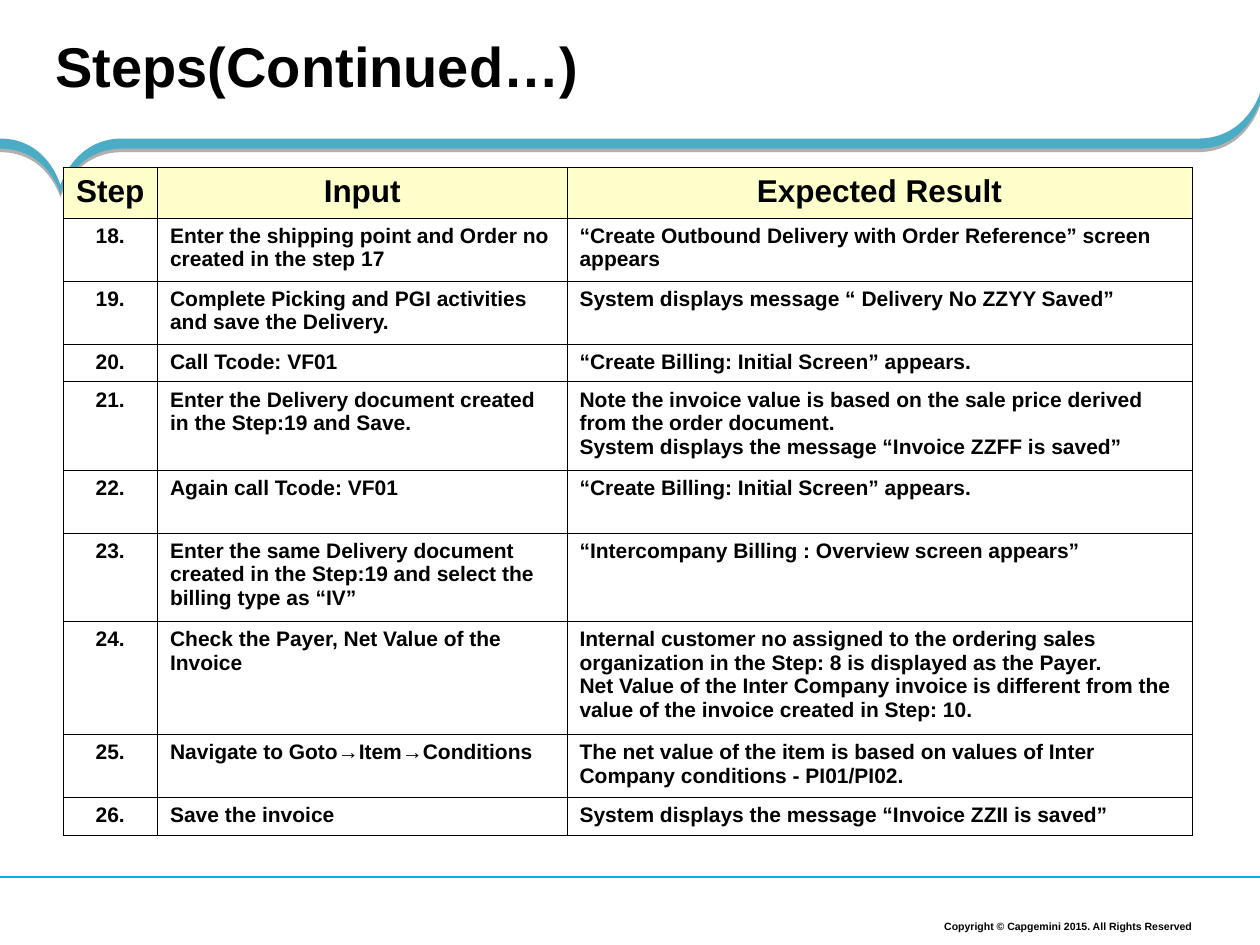
"""Build a slide with a table of numbered test steps under a wave band."""
from lxml import etree
from pptx import Presentation
from pptx.dml.color import RGBColor
from pptx.enum.shapes import MSO_CONNECTOR
from pptx.enum.text import MSO_ANCHOR, MSO_AUTO_SIZE, PP_ALIGN
from pptx.oxml import parse_xml
from pptx.oxml.ns import qn
from pptx.util import Inches, Pt

LEFT, MID, RIGHT = PP_ALIGN.LEFT, PP_ALIGN.CENTER, PP_ALIGN.RIGHT
TOP, BOTTOM = MSO_ANCHOR.TOP, MSO_ANCHOR.BOTTOM
NO_FIT = MSO_AUTO_SIZE.NONE
STRAIGHT = MSO_CONNECTOR.STRAIGHT
NS = 'xmlns:a="http://schemas.openxmlformats.org/drawingml/2006/main"'

TITLE = "Steps(Continued…)"
FOOTER = "Copyright © Capgemini 2015. All Rights Reserved"
HEADS = ["Step", "Input", "Expected Result"]
FIRST = 18
STEPS = [
    (0.5, "Enter the shipping point and Order no created in the step 17",
     ["“Create Outbound Delivery with Order Reference” screen appears"]),
    (0.5, "Complete Picking and PGI activities and save the Delivery.",
     ["System displays message “ Delivery No ZZYY Saved”"]),
    (0.3, "Call Tcode: VF01", ["“Create Billing: Initial Screen” appears."]),
    (0.7, "Enter the Delivery document created in the Step:19 and Save.",
     ["Note the invoice value is based on the sale price derived from the order document.",
      "System displays the message “Invoice ZZFF is saved”"]),
    (0.5, "Again call Tcode: VF01", ["“Create Billing: Initial Screen” appears."]),
    (0.7, "Enter the same Delivery document created in the Step:19 and select "
     "the billing type as “IV”",
     ["“Intercompany Billing : Overview screen appears”"]),
    (0.9, "Check the Payer, Net Value of the Invoice",
     ["Internal customer no assigned to the ordering sales organization in the "
      "Step: 8 is displayed as the Payer.",
      "Net Value of the Inter Company invoice is different from the value of the "
      "invoice created in Step: 10."]),
    (0.5, "Navigate to Goto→Item→Conditions",
     ["The net value of the item is based on values of Inter Company conditions - PI01/PI02."]),
    (0.3, "Save the invoice", ["System displays the message “Invoice ZZII is saved”"]),
]
COLS = [0.75, 3.25, 4.96]
HEAD_H = 0.4

WAVE_TOP = 74
WAVE_START = (951, 110)
WAVE = [
    [(97, 110)],
    [(59, 110), (48, 147), (48, 147)],
    [(48, 147), (38, 110), (0, 110)],
    [(0, 118)],
    [(38, 118), (48, 154), (48, 154)],
    [(48, 154), (59, 118), (97, 118)],
    [(951, 118)],
    [(989, 118), (1000, 81), (1000, 81)],
    [(1000, 74)],
    [(1000, 74), (989, 110), WAVE_START],
]


def paint(target, color):
    target.solid()
    target.fore_color.rgb = RGBColor.from_string(color)


def write(frame, lines, size, align=LEFT):
    for i, line in enumerate(lines):
        para = frame.paragraphs[0] if i == 0 else frame.add_paragraph()
        para.alignment = align
        run = para.add_run()
        run.text = line
        run.font.name = "Arial"
        run.font.size = Pt(size)
        run.font.bold = True
        paint(run.font.fill, "000000")


def set_box(shape, inset, anchor):
    frame = shape.text_frame
    frame.word_wrap = True
    frame.auto_size = NO_FIT
    frame.vertical_anchor = anchor
    frame.margin_left = frame.margin_right = Inches(inset)
    frame.margin_top = frame.margin_bottom = Inches(inset)
    return frame


def add_wave(slide):
    pen = slide.shapes.build_freeform(*WAVE_START, scale=Inches(0.01))
    pen.add_line_segments([step[-1] for step in WAVE], close=True)
    wave = pen.convert_to_shape()
    paint(wave.fill, "4BACC6")
    wave.line.fill.background()
    props = wave.element.spPr
    for line, step in zip(list(props.iter(qn("a:lnTo"))), WAVE):
        if len(step) == 3:
            curve = etree.Element(qn("a:cubicBezTo"))
            for x, y in step:
                etree.SubElement(curve, qn("a:pt"), x=str(x), y=str(y - WAVE_TOP))
            line.getparent().replace(line, curve)
    props.append(parse_xml(
        f'<a:effectLst {NS}><a:outerShdw blurRad="0" dist="{Pt(2)}" dir="5400000" '
        'algn="t" rotWithShape="0"><a:srgbClr val="000000"><a:alpha val="31000"/>'
        '</a:srgbClr></a:outerShdw></a:effectLst>'))


def add_rule(slide):
    y = Inches(6.96)
    rule = slide.shapes.add_connector(STRAIGHT, Inches(10), y, 0, y)
    paint(rule.line.fill, "00B0F0")
    rule.line.width = Pt(0.75)
    etree.SubElement(rule.element.spPr, qn("a:effectLst"))


def set_edges(cell):
    props = cell._tc.get_or_add_tcPr()
    for i, side in enumerate(("lnL", "lnR", "lnT", "lnB")):
        props.insert(i, parse_xml(
            f'<a:{side} {NS} w="{Pt(0.45)}"><a:solidFill><a:srgbClr val="000000"/>'
            f'</a:solidFill></a:{side}>'))


def add_grid(slide):
    rows = [[[head] for head in HEADS]]
    rows += [[[f"{n}."], [act], result] for n, (_, act, result) in enumerate(STEPS, FIRST)]
    tall = [HEAD_H] + [step[0] for step in STEPS]
    grid = slide.shapes.add_table(
        len(rows), len(COLS), Inches(0.5), Inches(1.33),
        Inches(sum(COLS)), Inches(sum(tall))).table
    for col, width in zip(grid.columns, COLS):
        col.width = Inches(width)
    for r, (row, height) in enumerate(zip(rows, tall)):
        grid.rows[r].height = Inches(height)
        for c, lines in enumerate(row):
            cell = grid.cell(r, c)
            if r == 0:
                paint(cell.fill, "FFFFCC")
            else:
                cell.fill.background()
            set_edges(cell)
            align = MID if r == 0 or c == 0 else LEFT
            write(cell.text_frame, lines, 18 if r == 0 else 12, align)


def main():
    deck = Presentation()
    deck.slide_width, deck.slide_height = Inches(10), Inches(7.5)
    slide = deck.slides.add_slide(deck.slide_layouts[5])
    title = slide.shapes.title
    title.left, title.top = Inches(0.44), Inches(0.25)
    title.width, title.height = Inches(9.55), Inches(0.73)
    write(set_box(title, 0, TOP), [TITLE], 32)
    add_wave(slide)
    note = slide.shapes.add_textbox(Inches(6.81), Inches(7.24), Inches(2.69), Inches(0.2))
    frame = set_box(note, 0.04, BOTTOM)
    write(frame, [FOOTER], 6, RIGHT)
    frame.paragraphs[0].line_spacing = 0.9
    add_rule(slide)
    add_grid(slide)
    deck.save("out.pptx")


if __name__ == "__main__":
    main()
